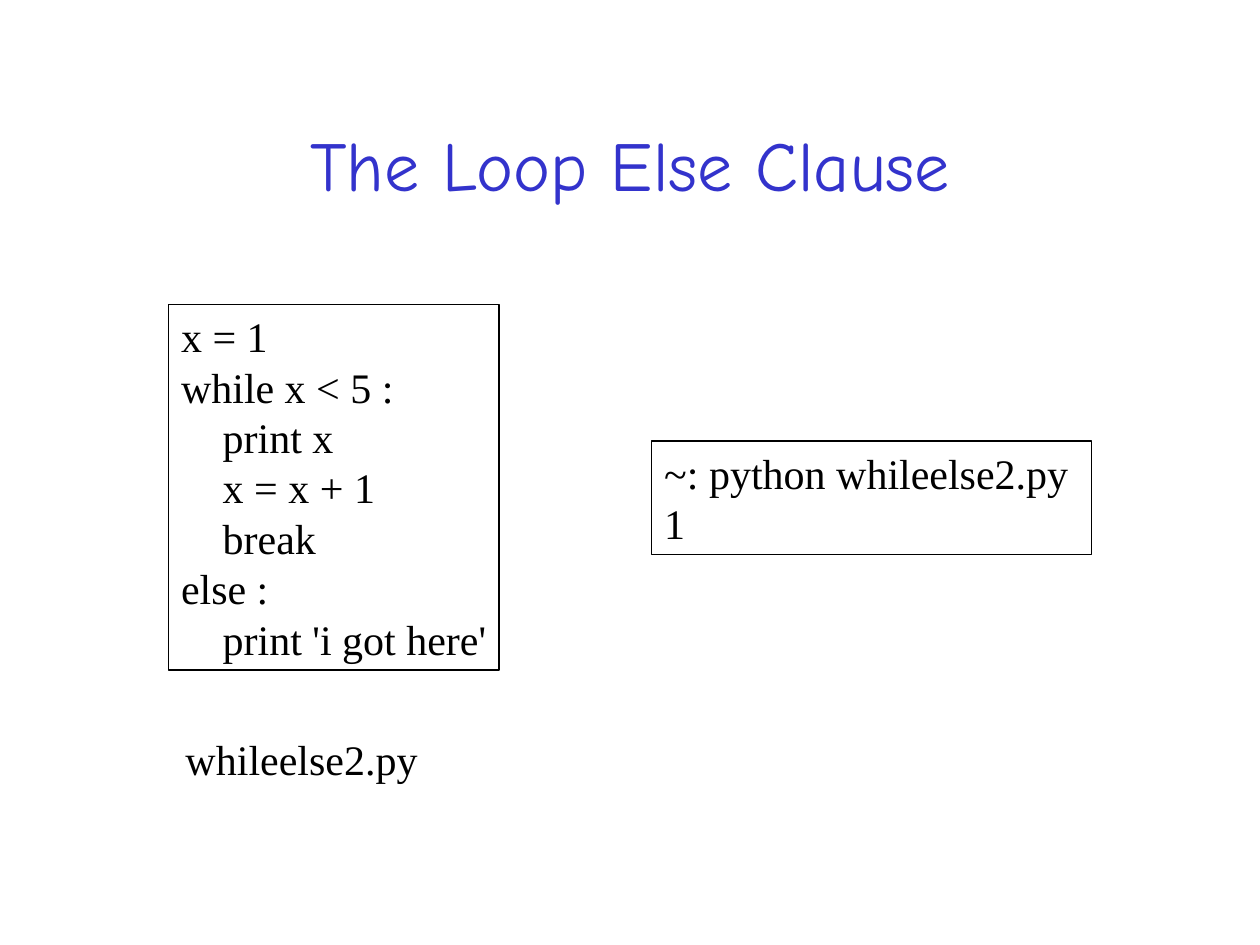
import pptx
import pptx.dml.color
import pptx.enum.text
import pptx.util

Cm, Pt = pptx.util.Cm, pptx.util.Pt
PP_ALIGN = pptx.enum.text.PP_ALIGN
MSO_ANCHOR = pptx.enum.text.MSO_ANCHOR


def rgb(value):
    return pptx.dml.color.RGBColor.from_string(value)


def add_text(box, lines, size, font, color, para_format, frame_format):
    """Add a text box; each line is a pair of indent level and text."""
    sp = s.shapes.add_textbox(*[Cm(v) for v in box])
    tf = sp.text_frame
    tf.word_wrap = True
    for name, value in frame_format.items():
        setattr(tf, name, value)
    for i, (level, text) in enumerate(lines):
        p = tf.paragraphs[0] if i == 0 else tf.add_paragraph()
        for name, value in para_format.items():
            setattr(p, name, value)
        if level:
            p._p.get_or_add_pPr().set("marL", str(Cm(0.84 * level)))
        r = p.add_run()
        r.text = text
        for name, value in {"size": Pt(size), "name": font}.items():
            setattr(r.font, name, value)
        r.font.color.rgb = rgb(color)
    return sp


prs = pptx.Presentation()
prs.slide_width, prs.slide_height = Cm(25.4), Cm(19.05)
s = prs.slides.add_slide(prs.slide_layouts[6])

add_text((1.9, 1.7, 21.6, 3.18), [(0, "The Loop Else Clause")],
         40, "Comic Neue", "3333CC",
         {"alignment": PP_ALIGN.CENTER},
         {"vertical_anchor": MSO_ANCHOR.MIDDLE})

code = [
    (0, "x = 1"),
    (0, "while x < 5 :"),
    (1, "print x"),
    (1, "x = x + 1"),
    (1, "break"),
    (0, "else :"),
    (1, "print 'i got here'"),
]
output = [(0, "~: python whileelse2.py"), (0, "1")]
file_name = [(0, "whileelse2.py")]

# The text nearly fills its boxes, so the right margin is given up
# to keep every line of code on one line.
body_format = {"alignment": PP_ALIGN.LEFT, "line_spacing": Pt(28.8)}
body_frame = {"margin_right": Cm(0), "vertical_anchor": MSO_ANCHOR.TOP}
for box, lines, framed in [
    ((3.4, 6.14, 6.66, 7.37), code, True),
    ((13.14, 8.89, 8.86, 2.29), output, True),
    ((3.49, 14.66, 5.18, 1.27), file_name, False),
]:
    sp = add_text(box, lines, 24, "Times New Roman", "000000",
                  body_format, body_frame)
    if framed:
        sp.line.color.rgb = rgb("000000")
        sp.line.width = Pt(0.75)

prs.save("out.pptx")
